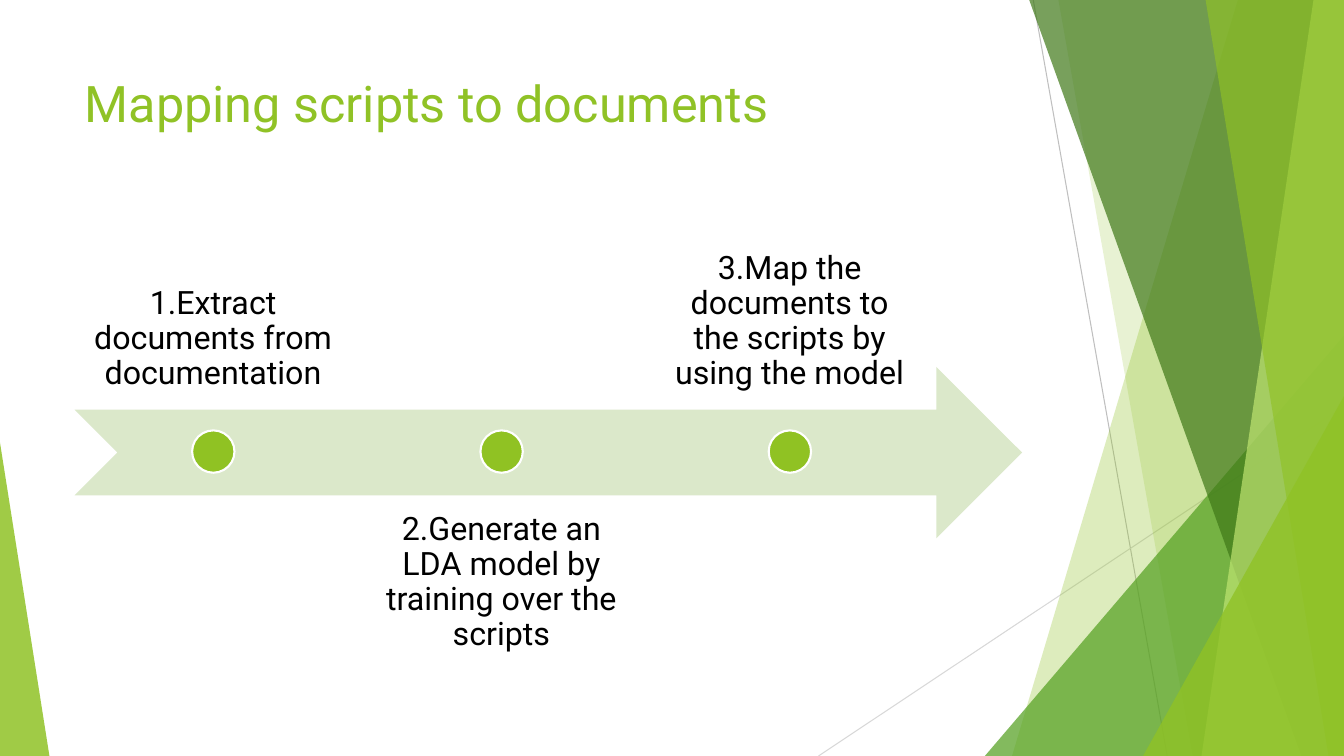
from lxml.etree import SubElement
from pptx import Presentation
from pptx.dml.color import RGBColor
from pptx.enum.shapes import MSO_CONNECTOR, MSO_SHAPE
from pptx.enum.text import MSO_ANCHOR, MSO_AUTO_SIZE, PP_ALIGN
from pptx.oxml.ns import qn
from pptx.util import Inches, Pt

WHITE = RGBColor(0xFF, 0xFF, 0xFF)
BLACK = RGBColor(0x00, 0x00, 0x00)
GREY = RGBColor(0xBF, 0xBF, 0xBF)
LIGHT_GREY = RGBColor(0xD8, 0xD8, 0xD8)
LIME = RGBColor(0x90, 0xC2, 0x26)
DOT_LIME = RGBColor(0x90, 0xC2, 0x23)
GREEN = RGBColor(0x54, 0xA0, 0x21)
DARK_GREEN = RGBColor(0x3F, 0x78, 0x18)
PALE_LIME = RGBColor(0xBF, 0xE4, 0x71)
PALE_GREEN = RGBColor(0xDB, 0xE8, 0xCA)

STEPS = [
    "1.Extract documents from documentation",
    "2.Generate an LDA model by training over the scripts",
    "3.Map the documents to the scripts by using the model",
]


class TimelineSlide:
    """Draws on one slide, with every length in percent of the slide's size."""

    font = "Roboto"

    def __init__(self, deck):
        self.width, self.height = deck.slide_width, deck.slide_height
        self.slide = deck.slides.add_slide(deck.slide_layouts[5])
        self.shapes = self.slide.shapes

    def x(self, share):
        return round(self.width * share / 100)

    def y(self, share):
        return round(self.height * share / 100)

    def box(self, left, top, width, height):
        return self.x(left), self.y(top), self.x(width), self.y(height)

    def paint(self, shape, color, opacity=100):
        shape.shadow.inherit = False
        shape.fill.solid()
        shape.fill.fore_color.rgb = color
        shape.line.fill.background()
        if opacity < 100:
            tint = shape._element.spPr.find(qn("a:solidFill"))[0]
            SubElement(tint, qn("a:alpha"), val=str(opacity * 1000))

    def add_text(self, paragraph, wording, size, color):
        run = paragraph.add_run()
        run.text = wording
        run.font.name = self.font
        run.font.size = Pt(size)
        run.font.color.rgb = color

    def title(self, wording, *place):
        heading = self.shapes.title
        heading.left, heading.top, heading.width, heading.height = self.box(*place)
        frame = heading.text_frame
        frame.auto_size = MSO_AUTO_SIZE.NONE
        frame.vertical_anchor = MSO_ANCHOR.TOP
        frame.paragraphs[0].alignment = PP_ALIGN.LEFT
        self.add_text(frame.paragraphs[0], wording, 36, LIME)

    def ray(self, x1, y1, x2, y2, color):
        ray = self.shapes.add_connector(
            MSO_CONNECTOR.STRAIGHT, self.x(x1), self.y(y1), self.x(x2), self.y(y2))
        ray.line.color.rgb = color
        ray.line.width = Pt(0.75)
        SubElement(ray._element.spPr, qn("a:effectLst"))

    def band(self, top_edge, bottom_edge, color, opacity):
        outline = self.shapes.build_freeform(self.x(top_edge), 0)
        outline.add_line_segments(
            [(self.width, 0), (self.width, self.height),
             (self.x(bottom_edge), self.height)], close=True)
        self.paint(outline.convert_to_shape(), color, opacity)

    def wedge(self, left, top, right, apex, color, opacity):
        wedge = self.shapes.add_shape(
            MSO_SHAPE.ISOSCELES_TRIANGLE, *self.box(left, top, right - left, 100 - top))
        wedge.adjustments[0] = apex
        self.paint(wedge, color, opacity)

    def arrow(self, *place):
        arrow = self.shapes.add_shape(MSO_SHAPE.NOTCHED_RIGHT_ARROW, *self.box(*place))
        self.paint(arrow, PALE_GREEN)

    def dot(self, *place):
        dot = self.shapes.add_shape(MSO_SHAPE.OVAL, *self.box(*place))
        self.paint(dot, DOT_LIME)
        dot.line.color.rgb = WHITE
        dot.line.width = Pt(1.5)

    def label(self, wording, anchor, *place):
        frame = self.shapes.add_textbox(*self.box(*place)).text_frame
        frame.word_wrap = True
        frame.vertical_anchor = anchor
        frame.margin_left = frame.margin_right = Inches(0.18)
        frame.margin_top = frame.margin_bottom = Inches(0.18)
        frame.paragraphs[0].alignment = PP_ALIGN.CENTER
        frame.paragraphs[0].line_spacing = 0.9
        self.add_text(frame.paragraphs[0], wording, 23, BLACK)

    def step(self, index, wording):
        left, width, height = 5.63 + 21.45 * index, 20.48, 22.67
        if index % 2:
            self.label(wording, MSO_ANCHOR.TOP, left, 65.47, width, height)
        else:
            self.label(wording, MSO_ANCHOR.BOTTOM, left, 31.47, width, height)
        dot_width = 3.15
        self.dot(left + (width - dot_width) / 2, 56.93, dot_width, 5.6)


def main():
    deck = Presentation()
    deck.slide_width, deck.slide_height = Inches(13.33), Inches(7.5)
    page = TimelineSlide(deck)
    page.ray(76.88, 0, 86.85, 100, GREY)
    page.ray(100, 53.73, 60.9, 100, LIGHT_GREY)
    page.band(92.1, 75.3, LIME, 30)
    page.band(78.75, 88.73, LIME, 20)
    page.wedge(73.28, 44.4, 100, 1, GREEN, 72)
    page.band(76.58, 96.83, DARK_GREEN, 70)
    page.band(97.73, 89.4, PALE_LIME, 70)
    page.band(89.7, 98.85, LIME, 65)
    page.wedge(85.05, 52.4, 100, 1, LIME, 80)
    page.wedge(0, 58.53, 3.68, 0, LIME, 85)
    page.title("Mapping scripts to documents", 5.55, 8.93, 70.5, 19.2)
    page.arrow(5.55, 48.53, 70.5, 22.67)
    for index, wording in enumerate(STEPS):
        page.step(index, wording)
    deck.save("out.pptx")


if __name__ == "__main__":
    main()
